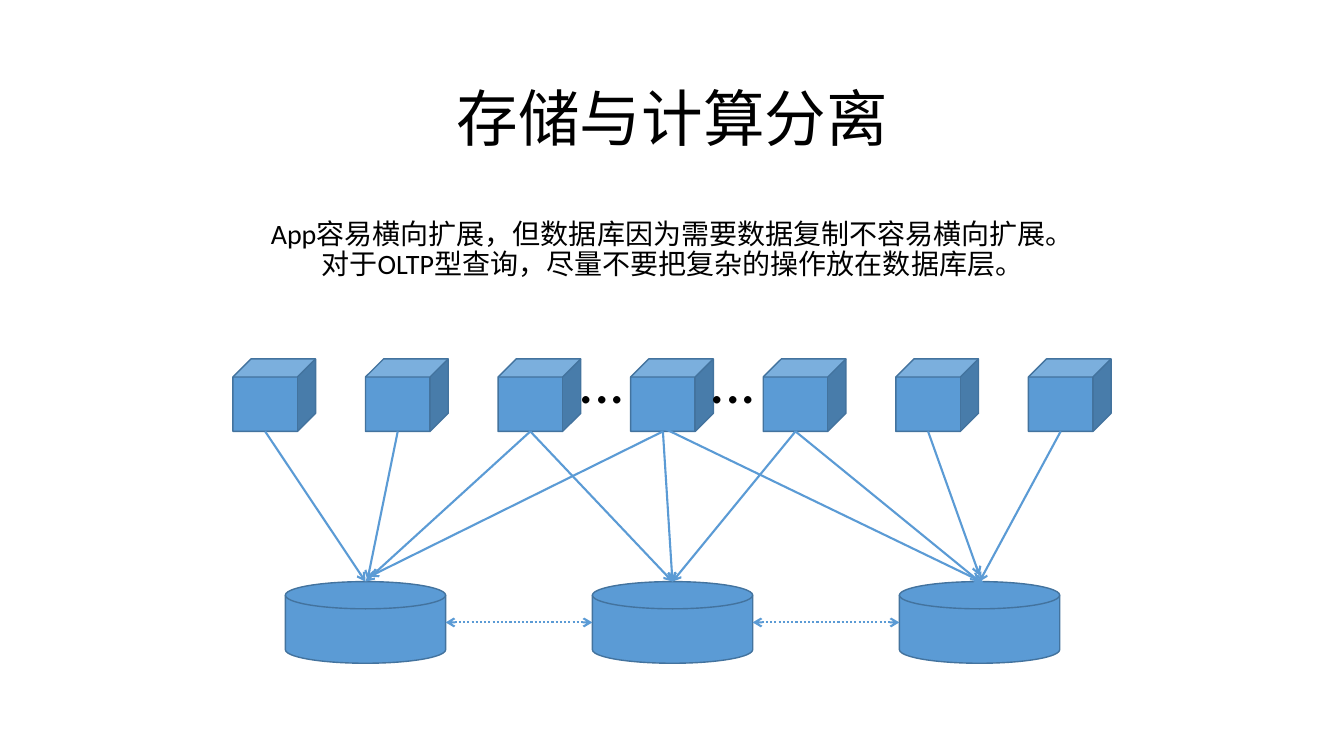
from dataclasses import dataclass

from lxml.etree import SubElement
from pptx import Presentation
from pptx.dml.color import RGBColor
from pptx.enum.dml import MSO_LINE_DASH_STYLE as Dash
from pptx.enum.shapes import MSO_CONNECTOR as Connector, MSO_SHAPE as Preset
from pptx.enum.text import MSO_ANCHOR as Anchor, MSO_AUTO_SIZE as AutoSize, PP_ALIGN as Align
from pptx.oxml.ns import qn
from pptx.slide import Slide
from pptx.text.text import TextFrame
from pptx.util import Inches, Pt

COLORS = {"node": "5B9BD5", "outline": "43739E", "text": "000000"}
FONT = "Calibri"


@dataclass(frozen=True)
class Tier:
    preset: Preset
    count: int
    left: float
    top: float
    step: float
    width: float
    height: float

    def x(self, index: int) -> float:
        return self.left + index * self.step


@dataclass(frozen=True)
class Query:
    app: int
    database: int
    start_dx: float = 0
    start_dy: float = 0
    end_dx: float = 0
    end_dy: float = 0


APPS = Tier(Preset.CUBE, 7, 2.31, 3.56, 1.315, 0.82, 0.72)
DATABASES = Tier(Preset.FLOWCHART_MAGNETIC_DISK, 3, 2.83, 5.77, 3.045, 1.59, 0.81)
APP_FOOT = 0.32
QUERIES = [
    Query(0, 0),
    Query(2, 1),
    Query(1, 0, end_dx=0.02, end_dy=-0.02),
    Query(2, 0),
    Query(3, 0, end_dx=0.04, end_dy=-0.05),
    Query(3, 1),
    Query(6, 2),
    Query(5, 2, end_dy=-0.06),
    Query(4, 2),
    Query(4, 1),
    Query(3, 2, -0.03, -0.05, 0.04, 0.01),
]
ELLIPSIS_CENTERS = [5.97, 7.27]
TITLE = "存储与计算分离"
SUMMARY = "App容易横向扩展，但数据库因为需要数据复制不容易横向扩展。\v对于OLTP型查询，尽量不要把复杂的操作放在数据库层。"


def color(name: str) -> RGBColor:
    return RGBColor.from_string(COLORS[name])


def write(frame: TextFrame, lines: list[tuple[str, int, int]]) -> None:
    frame.word_wrap = True
    frame.auto_size = AutoSize.NONE
    frame.vertical_anchor = Anchor.MIDDLE
    for index, (text, size, space_before) in enumerate(lines):
        paragraph = frame.add_paragraph() if index else frame.paragraphs[0]
        paragraph.text = text
        paragraph.alignment = Align.CENTER
        paragraph.line_spacing = 0.9
        paragraph.space_before = Pt(space_before)
        paragraph.font.name = FONT
        paragraph.font.size = Pt(size)
        paragraph.font.color.rgb = color("text")


def add_tier(slide: Slide, tier: Tier) -> None:
    for index in range(tier.count):
        node = slide.shapes.add_shape(
            tier.preset, Inches(tier.x(index)), Inches(tier.top),
            Inches(tier.width), Inches(tier.height))
        node.shadow.inherit = False
        node.fill.solid()
        node.fill.fore_color.rgb = color("node")
        node.line.color.rgb = color("outline")
        node.line.width = Pt(1)


def add_arrow(slide: Slide, x1: float, y1: float, x2: float, y2: float,
              two_way: bool = False) -> None:
    arrow = slide.shapes.add_connector(
        Connector.STRAIGHT, Inches(x1), Inches(y1), Inches(x2), Inches(y2))
    arrow.line.color.rgb = color("node")
    arrow.line.width = Pt(1.5)
    if two_way:
        arrow.line.dash_style = Dash.ROUND_DOT
    outline = arrow.line._get_or_add_ln()
    for end in ["a:headEnd", "a:tailEnd"] if two_way else ["a:tailEnd"]:
        SubElement(outline, qn(end), type="arrow")
    SubElement(arrow._element.spPr, qn("a:effectLst"))


def main() -> None:
    deck = Presentation()
    deck.slide_width, deck.slide_height = Inches(13.33), Inches(7.5)
    slide = deck.slides.add_slide(deck.slide_layouts[5])

    title = slide.shapes.title
    title.left, title.top = Inches(0.92), Inches(0.4)
    title.width, title.height = Inches(11.5), Inches(2.86)
    write(title.text_frame, [(TITLE, 44, 0), (SUMMARY, 20, 47)])

    add_tier(slide, DATABASES)
    add_tier(slide, APPS)

    for query in QUERIES:
        add_arrow(
            slide,
            APPS.x(query.app) + APP_FOOT + query.start_dx,
            APPS.top + APPS.height + query.start_dy,
            DATABASES.x(query.database) + DATABASES.width / 2 + query.end_dx,
            DATABASES.top + query.end_dy)

    for center in ELLIPSIS_CENTERS:
        ellipsis = slide.shapes.add_textbox(
            Inches(center - 0.4), Inches(3.26), Inches(0.8), Inches(1.1))
        write(ellipsis.text_frame, [("...", 44, 0)])

    replication_y = DATABASES.top + DATABASES.height / 2
    for index in range(DATABASES.count - 1):
        add_arrow(slide, DATABASES.x(index) + DATABASES.width, replication_y,
                  DATABASES.x(index + 1), replication_y, two_way=True)

    deck.save("out.pptx")


if __name__ == "__main__":
    main()
